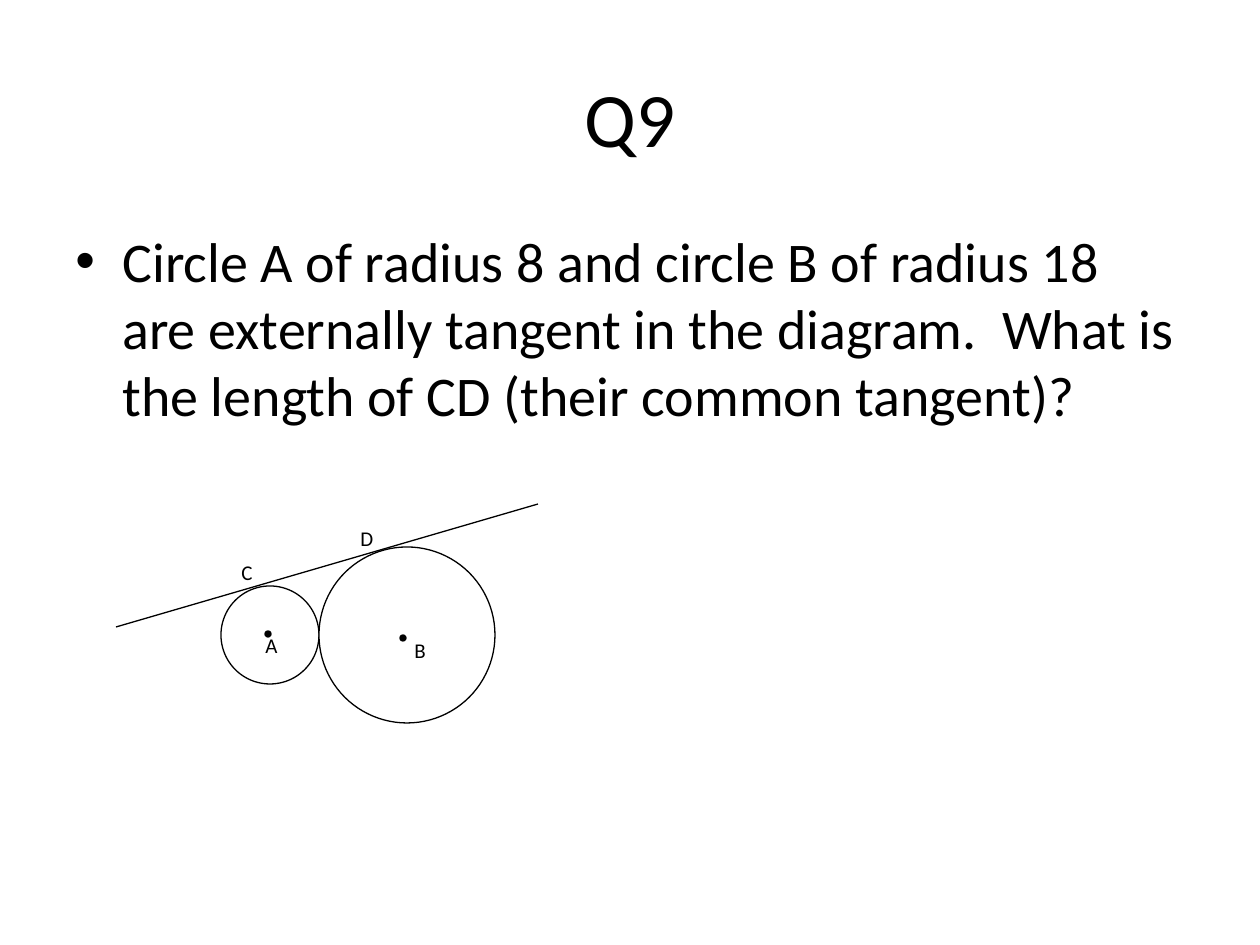
from dataclasses import dataclass

from lxml import etree
from pptx import Presentation
from pptx.dml.color import RGBColor
from pptx.enum.shapes import MSO_CONNECTOR, MSO_SHAPE
from pptx.enum.text import MSO_ANCHOR, PP_ALIGN
from pptx.oxml.ns import qn
from pptx.util import Emu, Pt

OVAL = MSO_SHAPE.OVAL
STRAIGHT = MSO_CONNECTOR.STRAIGHT
MIDDLE = MSO_ANCHOR.MIDDLE
CENTER = PP_ALIGN.CENTER

PX_PER_INCH = 126
TITLE_ONLY = 5
FONT = "Calibri"
BLACK, WHITE = "000000", "FFFFFF"
LINE_WIDTH = Pt(0.75)
QUESTION = (
    "Circle A of radius 8 and circle B of radius 18 are externally tangent "
    "in the diagram.  What is the length of CD (their common tangent)?"
)


@dataclass(frozen=True)
class Circle:
    left: int
    top: int
    diameter: int
    fill: str


@dataclass(frozen=True)
class PointLabel:
    text: str
    left: int
    top: int
    width: int
    height: int


CIRCLES = [Circle(221, 586, 98, WHITE), Circle(319, 547, 176, WHITE)]
CENTRE_DOTS = [Circle(265, 631, 6, BLACK), Circle(400, 635, 6, BLACK)]
TANGENT = (116, 627, 538, 504)
POINT_LABELS = [
    PointLabel("A", 253, 626, 57, 52),
    PointLabel("B", 402, 631, 74, 71),
    PointLabel("C", 229, 553, 42, 39),
    PointLabel("D", 348, 519, 43, 34),
]


def px(length: int) -> Emu:
    return Emu(round(length * 914400 / PX_PER_INCH))


def color(hex_code: str) -> RGBColor:
    return RGBColor.from_string(hex_code)


def set_text(shape, text: str, size: int):
    """Write one black paragraph into the shape and return it."""
    shape.text_frame.word_wrap = True
    paragraph = shape.text_frame.paragraphs[0]
    paragraph.text = text
    paragraph.font.name = FONT
    paragraph.font.size = Pt(size)
    paragraph.font.color.rgb = color(BLACK)
    return paragraph


def add_title(slide, text: str) -> None:
    title = slide.shapes.title
    title.left, title.top, title.width, title.height = map(px, (63, 38, 1134, 157))
    title.text_frame.vertical_anchor = MIDDLE
    set_text(title, text, 44).alignment = CENTER


def add_question(slide, text: str) -> None:
    box = slide.shapes.add_textbox(*map(px, (63, 220, 1134, 624)))
    paragraph = set_text(box, text, 32)
    paragraph.space_before = Pt(6.4)
    properties = paragraph._p.get_or_add_pPr()
    properties.set("marL", str(px(47)))
    properties.set("indent", str(-px(47)))
    font = etree.Element(qn("a:buFont"), typeface="Arial")
    bullet = etree.Element(qn("a:buChar"), char="•")
    position = properties.index(properties.find(qn("a:defRPr")))
    properties.insert(position, font)
    properties.insert(position + 1, bullet)


def add_circle(slide, circle: Circle) -> None:
    box = (circle.left, circle.top, circle.diameter, circle.diameter)
    shape = slide.shapes.add_shape(OVAL, *map(px, box))
    shape.shadow.inherit = False
    shape.fill.solid()
    shape.fill.fore_color.rgb = color(circle.fill)
    shape.line.color.rgb = color(BLACK)
    shape.line.width = LINE_WIDTH


def add_tangent(slide, ends: tuple[int, int, int, int]) -> None:
    tangent = slide.shapes.add_connector(STRAIGHT, *map(px, ends))
    tangent.line.color.rgb = color(BLACK)
    tangent.line.width = LINE_WIDTH
    etree.SubElement(tangent._element.spPr, qn("a:effectLst"))


def add_point_label(slide, label: PointLabel) -> None:
    box = (label.left, label.top, label.width, label.height)
    set_text(slide.shapes.add_textbox(*map(px, box)), label.text, 12)


def main() -> None:
    presentation = Presentation()
    presentation.slide_width = px(1260)
    presentation.slide_height = px(945)
    slide = presentation.slides.add_slide(presentation.slide_layouts[TITLE_ONLY])

    add_title(slide, "Q9")
    add_question(slide, QUESTION)
    for circle in CIRCLES:
        add_circle(slide, circle)
    add_tangent(slide, TANGENT)
    for dot in CENTRE_DOTS:
        add_circle(slide, dot)
    for label in POINT_LABELS:
        add_point_label(slide, label)

    presentation.save("out.pptx")


if __name__ == "__main__":
    main()
